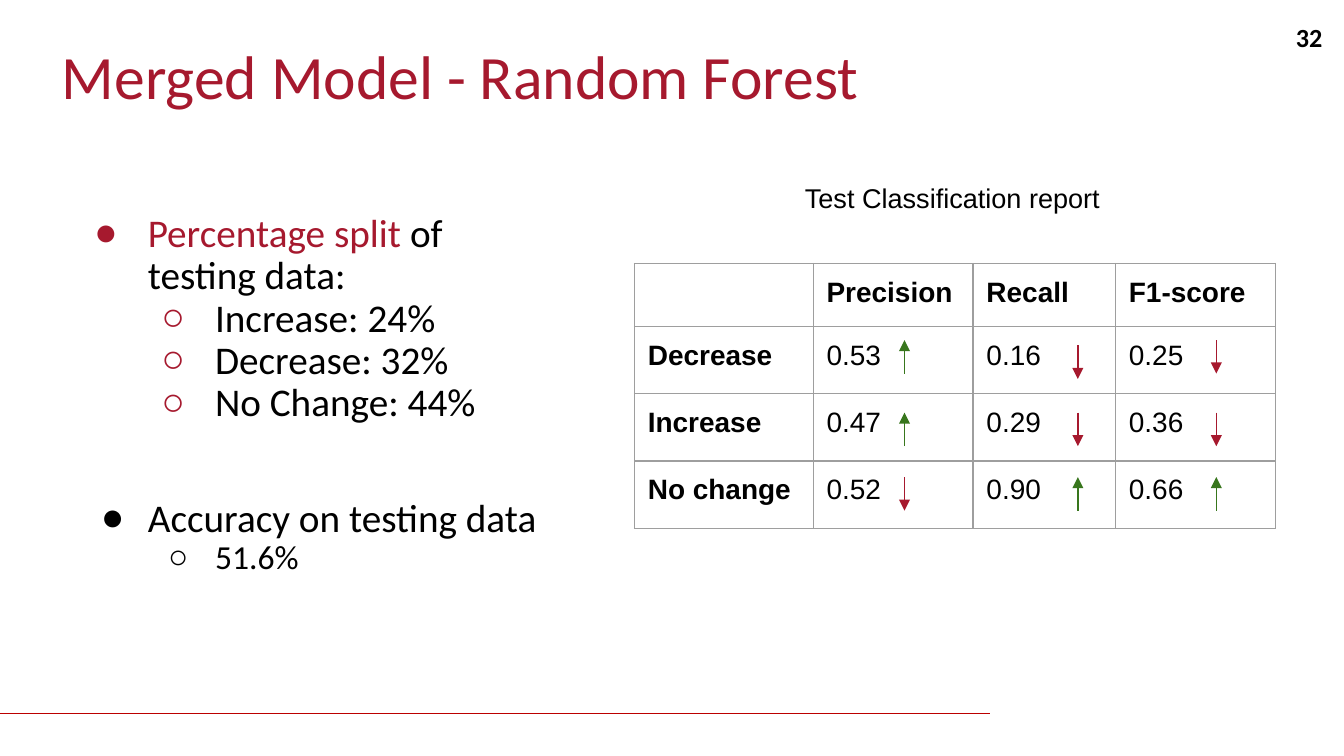
from dataclasses import dataclass

import pptx
import pptx.dml.color
import pptx.enum.shapes
import pptx.enum.text
import pptx.oxml
import pptx.oxml.ns
import pptx.util

Inches = pptx.util.Inches
Pt = pptx.util.Pt
PP_ALIGN = pptx.enum.text.PP_ALIGN
ANCHOR = pptx.enum.text.MSO_ANCHOR

RED, GREEN, BLACK, GRAY = "A6192E", "38761D", "000000", "9E9E9E"


@dataclass
class Score:
    value: str
    up: bool
    nudge: float = 0


@dataclass
class Bullet:
    runs: list[tuple[str, str]]
    level: int = 0
    color: str = BLACK
    hang: float = 0.35
    size: float = 21
    before: float = 0


REPORT = {
    "Decrease": [Score("0.53", True), Score("0.16", False, 0.04), Score("0.25", False)],
    "Increase": [Score("0.47", True), Score("0.29", False), Score("0.36", False)],
    "No change": [Score("0.52", False), Score("0.90", True), Score("0.66", True)],
}
HEADERS = ["", "Precision", "Recall", "F1-score"]
COL_WIDTHS = [1.33, 1.19, 1.06, 1.19]
ROW_HEIGHTS = [0.47, 0.5, 0.5, 0.5]
ARROW_X = [6.73, 8.02, 9.05]
ARROW_TOPS = [2.53, 3.07, 3.55]
ARROW_LENGTH = 0.25

SPLITS = ["Increase: 24%", "Decrease: 32%", "No Change: 44%"]
BULLETS = [
    Bullet([("Percentage split ", RED), ("of testing data:", BLACK)],
           color=RED, hang=0.4, before=8),
    *[Bullet([(split, BLACK)], 1, RED, 0.4) for split in SPLITS],
    Bullet([("Accuracy on testing data", BLACK)], before=39),
    Bullet([("51.6%", BLACK)], 1, size=18),
]


def rgb(color: str):
    return pptx.dml.color.RGBColor.from_string(color)


def sub(parent, tag: str, **attrs: str):
    """Append a DrawingML child element."""
    el = pptx.oxml.parse_xml(f"<a:{tag} {pptx.oxml.ns.nsdecls('a')}/>")
    for name, value in attrs.items():
        el.set(name, value)
    parent.append(el)
    return el


def add_run(p, text: str, size: float, color: str = BLACK,
            font: str = "Calibri", bold: bool = False) -> None:
    r = p.add_run()
    r.text = text
    r.font.size, r.font.name, r.font.bold = Pt(size), font, bold
    r.font.color.rgb = rgb(color)


def place(sp, left: float, top: float, width: float, height: float,
          inset_x: float, inset_y: float, anchor=ANCHOR.TOP):
    """Position a text shape and return its frame."""
    sp.left, sp.top = Inches(left), Inches(top)
    sp.width, sp.height = Inches(width), Inches(height)
    tf = sp.text_frame
    tf.word_wrap = True
    tf.auto_size = pptx.enum.text.MSO_AUTO_SIZE.NONE
    tf.vertical_anchor = anchor
    tf.margin_left = tf.margin_right = Inches(inset_x)
    tf.margin_top = tf.margin_bottom = Inches(inset_y)
    return tf


def add_line(s, start: tuple, end: tuple, color: str, arrow: bool = False) -> None:
    line = s.shapes.add_connector(pptx.enum.shapes.MSO_CONNECTOR.STRAIGHT,
                                  *map(Inches, start + end))
    line.line.color.rgb = rgb(color)
    line.line.width = Pt(0.75)
    if arrow:
        sub(line.line._get_or_add_ln(), "tailEnd", type="triangle")
    sub(line._element.spPr, "effectLst")


def add_bullet(p, bullet: Bullet) -> None:
    p.level = bullet.level
    p.line_spacing = 0.9
    p.space_before = Pt(bullet.before)
    pPr = p._p.get_or_add_pPr()
    pPr.set("marL", str(Inches(0.5 * (bullet.level + 1))))
    pPr.set("indent", str(-Inches(bullet.hang)))
    sub(sub(pPr, "buClr"), "srgbClr", val=bullet.color)
    sub(pPr, "buFont", typeface="Arial")
    sub(pPr, "buChar", char="●○"[bullet.level])
    for text, color in bullet.runs:
        add_run(p, text, bullet.size, color)


def fill_cell(cell, text: str, bold: bool) -> None:
    cell.margin_left = cell.margin_right = Inches(0.1)
    cell.margin_top = cell.margin_bottom = Inches(0.1)
    p = cell.text_frame.paragraphs[0]
    if text:
        add_run(p, text, 15, font="Arial", bold=bold)
    else:
        sub(p._p, "endParaRPr", sz="1500")
    tcPr = cell._tc.get_or_add_tcPr()
    for side in ("lnL", "lnR", "lnT", "lnB"):
        ln = sub(tcPr, side, w=str(Pt(0.75)))
        sub(sub(ln, "solidFill"), "srgbClr", val=GRAY)
    cell.fill.background()


def add_report(s) -> None:
    rows = [HEADERS] + [[name] + [score.value for score in scores]
                        for name, scores in REPORT.items()]
    table = s.shapes.add_table(len(rows), len(HEADERS), Inches(4.72), Inches(1.96),
                               Inches(sum(COL_WIDTHS)), Inches(sum(ROW_HEIGHTS))).table
    table.first_row = table.horz_banding = False
    for col, width in zip(table.columns, COL_WIDTHS):
        col.width = Inches(width)
    for row, height in zip(table.rows, ROW_HEIGHTS):
        row.height = Inches(height)
    for i, texts in enumerate(rows):
        for j, text in enumerate(texts):
            fill_cell(table.cell(i, j), text, bold=i == 0 or j == 0)


def add_trends(s) -> None:
    for scores, row_top in zip(REPORT.values(), ARROW_TOPS):
        for score, x in zip(scores, ARROW_X):
            top = (x, row_top + score.nudge)
            bottom = (x, row_top + score.nudge + ARROW_LENGTH)
            if score.up:
                add_line(s, bottom, top, GREEN, arrow=True)
            else:
                add_line(s, top, bottom, RED, arrow=True)


def main() -> None:
    # A 16:9 slide
    prs = pptx.Presentation()
    prs.slide_width = Inches(10)
    prs.slide_height = prs.slide_width * 9 // 16
    s = prs.slides.add_slide(prs.slide_layouts[1])

    # Footer rule
    add_line(s, (0, 5.31), (7.37, 5.31), "BB0000")

    # Title
    tf = place(s.shapes.title, 0.39, 0.3, 9.51, 0.59, 0.07, 0.04, ANCHOR.MIDDLE)
    p = tf.paragraphs[0]
    p.alignment, p.line_spacing = PP_ALIGN.LEFT, 0.9
    add_run(p, "Merged Model - Random Forest", 33, RED)

    # Page number
    tf = place(s.shapes.add_textbox(0, 0, 0, 0), 9.31, 0.09, 0.6, 0.43, 0.07, 0.07)
    tf.paragraphs[0].alignment = PP_ALIGN.RIGHT
    add_run(tf.paragraphs[0], "32", 14, bold=True)

    # Classification report with trend arrows
    add_report(s)
    tf = place(s.shapes.add_textbox(0, 0, 0, 0), 5.89, 1.28, 2.62, 0.43, 0.1, 0.1)
    p = tf.paragraphs[0]
    p.line_spacing, p.space_before = 0.9, Pt(8)
    add_run(p, "Test Classification report", 14.5, font="Arial")
    add_trends(s)

    # Findings
    tf = place(s.placeholders[1], 0.53, 1.55, 3.66, 2.52, 0.07, 0.04)
    for i, bullet in enumerate(BULLETS):
        add_bullet(tf.add_paragraph() if i else tf.paragraphs[0], bullet)

    prs.save("out.pptx")


if __name__ == "__main__":
    main()
